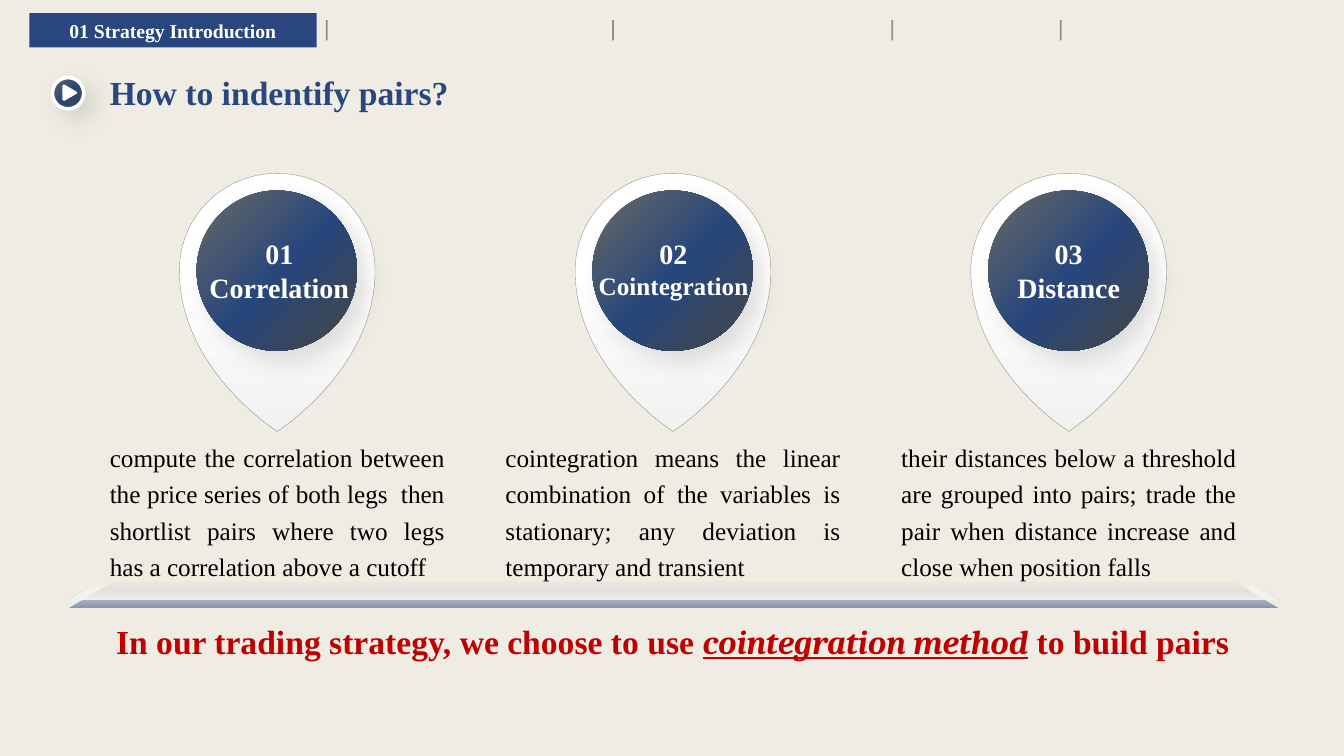
"""Build the slide on how to identify trading pairs."""
from lxml import etree
from pptx import Presentation, util as u
from pptx.dml.color import RGBColor
from pptx.enum import shapes, text
from pptx.oxml import ns

hue = RGBColor.from_string
NAVY, WHITE, RED, BLACK = "29477E", "FFFFFF", "C00000", "000000"
SERIF = "Times New Roman"
CENTER, LEFT, FULL = text.PP_ALIGN.CENTER, text.PP_ALIGN.LEFT, text.PP_ALIGN.JUSTIFY
KIND = shapes.MSO_SHAPE
BALL = [(0, "696A64", 100), (52, "27467C", 100), (100, "464743", 100)], 45
PALE = [(0, "F2F2F2", 100), (66, WHITE, 100)], 270
GLASS = [(0, "F2F2F2", 100), (66, WHITE, 0)], 270
BASE = [(0, "696A64", 0), (100, NAVY, 55)], 90

deck = Presentation()
deck.slide_width, deck.slide_height = u.Inches(13.33), u.Inches(7.5)
slide = deck.slides.add_slide(deck.slide_layouts[6])
slide.background.fill.solid()
slide.background.fill.fore_color.rgb = hue("EFEDE3")
art = slide.shapes


def draw(kind, spot, fill, line=None, width=0.25, shade=False):
    """Draw a preset at its box, or an outline of lines and curves from its start."""
    spot = [u.Inches(v) for v in spot]
    if isinstance(kind, list):
        paths = [[(u.Inches(x), u.Inches(y)) for x, y in part] for part in kind]
        pen = art.build_freeform(*spot, scale=1)
        pen.add_line_segments([part[-1] for part in paths])
        shape = pen.convert_to_shape()
        for leg, part in zip(shape._element.findall(".//" + ns.qn("a:lnTo")), paths):
            if len(part) == 3:
                bend = etree.Element(ns.qn("a:cubicBezTo"))
                for x, y in part:
                    dot = etree.SubElement(bend, ns.qn("a:pt"))
                    dot.set("x", str(x - shape.left))
                    dot.set("y", str(y - shape.top))
                leg.getparent().replace(leg, bend)
    else:
        shape = art.add_shape(kind, *spot)
    shape.shadow.inherit = False
    props = shape._element.spPr
    if isinstance(fill, str):
        shape.fill.solid()
        shape.fill.fore_color.rgb = hue(fill)
    else:
        stops, turn = fill
        marks = "".join(
            f'<a:gs pos="{at * 1000}"><a:srgbClr val="{tint}">'
            f'<a:alpha val="{solid * 1000}"/></a:srgbClr></a:gs>'
            for at, tint, solid in stops)
        props[1].addnext(etree.fromstring(
            f'<a:gradFill {ns.nsdecls("a")} rotWithShape="1"><a:gsLst>{marks}</a:gsLst>'
            f'<a:lin ang="{turn * 60000}" scaled="0"/></a:gradFill>'))
    if line:
        shape.line.color.rgb = hue(line)
        shape.line.width = u.Pt(width)
    else:
        shape.line.fill.background()
    if shade:
        props.find(ns.qn("a:effectLst")).append(etree.fromstring(
            f'<a:outerShdw {ns.nsdecls("a")} blurRad="{u.Pt(16)}" dist="{u.Pt(10)}" '
            'dir="2700000" algn="tl" rotWithShape="0"><a:srgbClr val="696A64">'
            '<a:alpha val="20000"/></a:srgbClr></a:outerShdw>'))
    return shape


def write(box, lines, tint, align=CENTER, space=None, bold=True):
    """Add lines of runs; a run is its words, size, font and whether it is stressed."""
    if isinstance(box, tuple):
        box = art.add_textbox(*[u.Inches(v) for v in box])
    frame = box.text_frame
    frame.word_wrap = True
    frame.auto_size = text.MSO_AUTO_SIZE.SHAPE_TO_FIT_TEXT
    for i, runs in enumerate(lines):
        para = frame.add_paragraph() if i else frame.paragraphs[0]
        para.alignment = align
        if space:
            para.line_spacing = space
        for words, size, face, stress in runs:
            run = para.add_run()
            run.text = words
            font = run.font
            font.size, font.name, font.bold = u.Pt(size), face, bold
            font.italic = font.underline = stress
            font.color.rgb = hue(tint)


tab = draw(KIND.RECTANGLE, (0.29, 0.13, 2.85, 0.34), NAVY)
write(tab, [[("01 Strategy Introduction", 14, SERIF, False)]], WHITE)
for bar in (3.24, 6.08, 8.85, 10.52):
    ends = [u.Inches(v) for v in (bar, 0.2, bar, 0.4)]
    rule = art.add_connector(shapes.MSO_CONNECTOR.STRAIGHT, *ends)
    rule.line.color.rgb = hue(BLACK)
    rule.line.width = u.Pt(1.25)
    ink = rule._element.spPr.find(".//" + ns.qn("a:srgbClr"))
    etree.SubElement(ink, ns.qn("a:alpha")).set("val", "40000")
    etree.SubElement(rule._element.spPr, ns.qn("a:effectLst"))

write((0.99, 0.66, 4.49, 0.5), [[("How to indentify pairs?", 24, SERIF, False)]], NAVY, LEFT)
draw(KIND.OVAL, (0.52, 0.77, 0.31, 0.31), BALL, WHITE, 2.5, True)
arrow = [[(0.76, 0.93)], [(0.77, 0.93), (0.77, 0.92), (0.76, 0.91)],
         [(0.64, 0.84)], [(0.63, 0.84), (0.62, 0.84), (0.62, 0.85)],
         [(0.62, 0.99)], [(0.62, 1), (0.63, 1), (0.64, 1)]]
draw(arrow, (0.64, 1), WHITE)

pin = [[(0.53, 0), (0.95, 0.41), (0.97, 0.93)], [(0.97, 1)],
       [(0.95, 1.96), (0, 2.56), (0, 2.56)], [(0, 2.56), (-0.95, 1.96), (-0.97, 1)],
       [(-0.97, 0.93)], [(-0.95, 0.41), (-0.53, 0), (0, 0)]]
cards = [
    ("01", "Correlation", 20, 2.77, 1.59, "compute the correlation between the price series "
     "of both legs  then shortlist pairs where two legs has a correlation above a cutoff"),
    ("02", "Cointegration", 18, 6.68, 1.71, "cointegration means the linear combination of "
     "the variables is stationary; any deviation is temporary and transient"),
    ("03", "Distance", 20, 10.6, 1.46, "their distances below a threshold are grouped into "
     "pairs; trade the pair when distance increase and close when position falls")]
for col, (mark, name, size, hub, wide, note) in enumerate(cards):
    mid = 2.75 + 3.925 * col
    shape = [[(mid + x, 1.72 + y) for x, y in part] for part in pin]
    draw(shape, (mid, 1.72), PALE, "8C8C86")
    draw(KIND.OVAL, (mid - 0.8, 1.89, 1.59, 1.59), BALL, shade=True)
    write((hub - wide / 2, 2.3, wide, 0.77),
          [[(mark, 20, SERIF, False)], [(name, size, SERIF, False)]], WHITE)
    write((mid - 1.76, 4.28, 3.52, 1.55), [[(note, 18, SERIF, False)]], BLACK, FULL, 1.2, False)

for top, fill in [(5.77, BASE), (5.69, GLASS)]:
    shelf = draw(KIND.TRAPEZOID, (0.68, top, 12, 0.26), fill)
    shelf.adjustments[0] = 1.69

write((1.01, 6.03, 11.32, 0.58),
      [[("In our trading strategy, we choose to use ", 24, SERIF, False),
        ("cointegration method", 24, "Cambria", True),
        (" to build pairs", 24, SERIF, False)]], RED, space=1.2)

deck.save("out.pptx")
